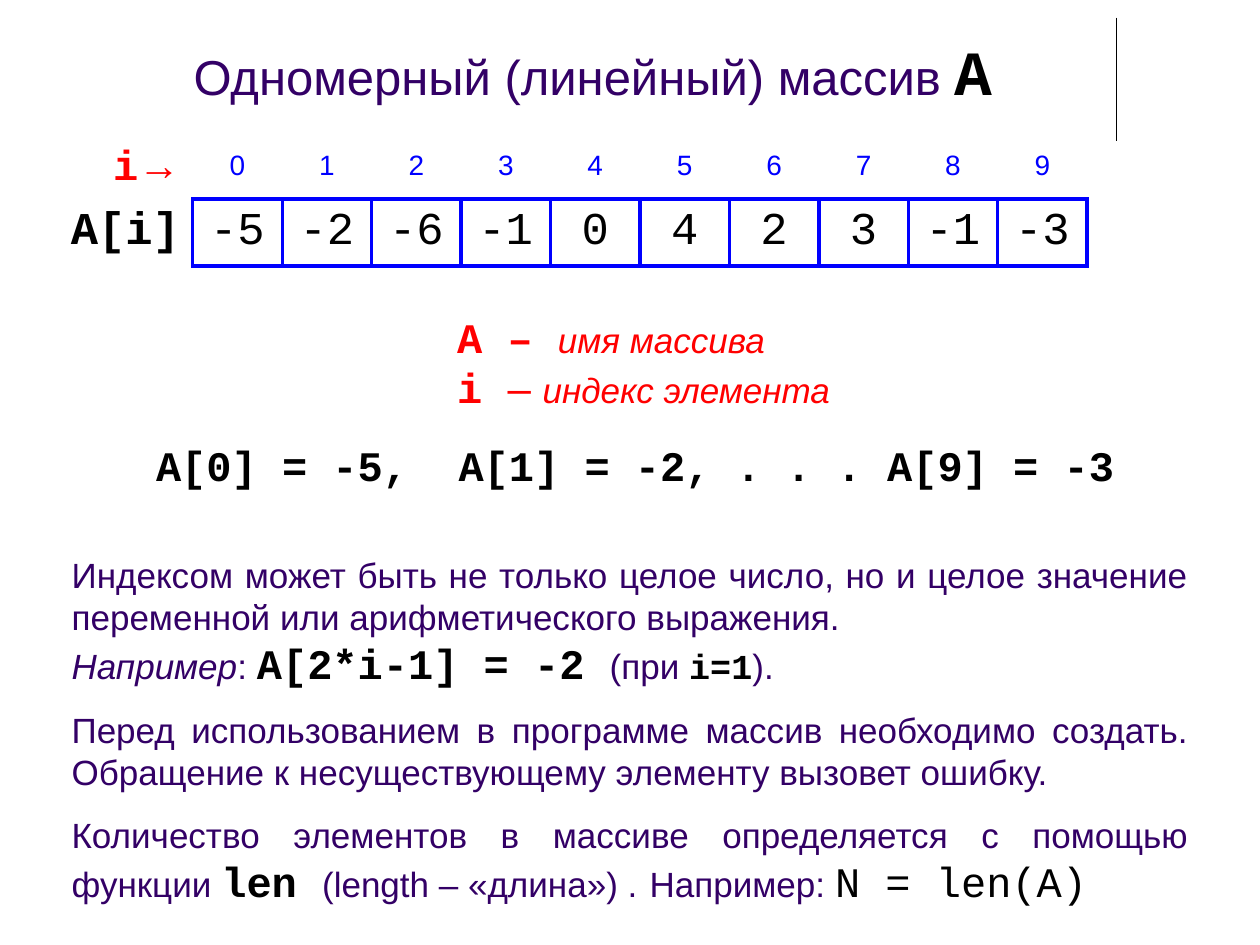
from lxml.etree import SubElement
from pptx import Presentation
from pptx.dml.color import RGBColor
from pptx.enum.shapes import MSO_CONNECTOR
from pptx.enum.text import MSO_ANCHOR, MSO_AUTO_SIZE, PP_ALIGN
from pptx.oxml import parse_xml
from pptx.oxml.ns import nsdecls, qn
from pptx.util import Inches, Pt

BLACK, RED, BLUE, PURPLE, WHITE = "000000", "FF0000", "0000FF", "330066", "FFFFFF"
SANS, MONO = "Arial", "Courier New"


def color(value):
    return RGBColor.from_string(value)


def write(para, spans, align=PP_ALIGN.LEFT, before=None):
    para.alignment = align
    if before:
        spacing = SubElement(para._p.get_or_add_pPr(), qn("a:spcBef"))
        SubElement(spacing, qn("a:spcPct"), val=str(before * 1000))
    for text, size, name, tint, style in spans:
        span = para.add_run()
        span.text = text
        span.font.size = Pt(size)
        span.font.name = name
        span.font.color.rgb = color(tint)
        span.font.bold = "b" in style
        span.font.italic = "i" in style


deck = Presentation()
deck.slide_width = Inches(10)
deck.slide_height = Inches(7.5)
page = deck.slides.add_slide(deck.slide_layouts[6])

rule = page.shapes.add_connector(
    MSO_CONNECTOR.STRAIGHT, Inches(8.86), Inches(0.14), Inches(8.86), Inches(1.12))
rule.line.color.rgb = color(BLACK)
rule.line.width = Pt(0.75)
SubElement(rule._element.spPr, qn("a:effectLst"))

values = ["-5", "-2", "-6", "-1", "0", "4", "2", "3", "-1", "-3"]
frame = page.shapes.add_table(
    2, len(values) + 1, Inches(0.39), Inches(1.05), Inches(8.24), Inches(1.06))
table = frame.table
table.first_row = False
table.horz_banding = False
for number, column in enumerate(table.columns):
    column.width = Inches(0.71 if number else 1.14)
for row in table.rows:
    row.height = Inches(0.53)

labels = [
    [("i", 24, MONO, RED, "b"), ("→", 24, SANS, RED, "b")],
    [("A[i]", 26, MONO, BLACK, "b")],
]
index_row = [[(str(index), 16, SANS, BLUE, "")] for index in range(len(values))]
value_row = [[(value, 26, MONO, BLACK, "")] for value in values]
for r, row in enumerate([labels[:1] + index_row, labels[1:] + value_row]):
    for c, spans in enumerate(row):
        cell = table.cell(r, c)
        cell.vertical_anchor = MSO_ANCHOR.BOTTOM if r == c == 0 else MSO_ANCHOR.MIDDLE
        write(cell.text_frame.paragraphs[0], spans,
              PP_ALIGN.CENTER if c else PP_ALIGN.RIGHT, 20)
        inside = r == 1 and c > 0
        edges = {
            "lnL": inside,
            "lnR": r == 1,
            "lnT": inside,
            "lnB": c > 0,
        }
        properties = cell._tc.get_or_add_tcPr()
        for edge, blue in edges.items():
            properties.append(parse_xml(
                f'<a:{edge} {nsdecls("a")} w="28575"><a:solidFill>'
                f'<a:srgbClr val="{BLUE if blue else WHITE}"/>'
                f'</a:solidFill></a:{edge}>'))
        cell.fill.background()

title = [("Одномерный (линейный) массив ", 28, SANS, PURPLE, ""), ("A", 36, MONO, BLACK, "b")]
examples = [("A[0] = -5,  A[1] = -2, . . . A[9] = -3", 24, MONO, BLACK, "b")]
legend = [
    [("A – ", 24, MONO, RED, "b"), ("имя массива", 20, SANS, RED, "i")],
    [("i ", 24, MONO, RED, "b"), ("– ", 24, SANS, RED, ""),
     ("индекс элемента", 20, SANS, RED, "i")],
]
notes = [
    [("Индексом может быть не только целое число, но и целое значение "
      "переменной или арифметического выражения.", 20, SANS, PURPLE, "")],
    [("Например", 20, SANS, PURPLE, "i"), (": ", 20, SANS, PURPLE, ""),
     ("A[2*i-1] = -2 ", 24, MONO, BLACK, "b"), ("(при ", 20, SANS, PURPLE, ""),
     ("i=1", 20, MONO, BLACK, "b"), (").", 20, SANS, PURPLE, "")],
    [("Перед использованием в программе массив необходимо создать. "
      "Обращение к несуществующему элементу вызовет ошибку.", 20, SANS, PURPLE, "")],
    [("Количество элементов в массиве определяется с помощью функции ",
      20, SANS, PURPLE, ""), ("len ", 24, MONO, BLACK, "b"),
     ("(length – «длина») .", 20, SANS, PURPLE, ""), (" ", 24, SANS, BLACK, "b"),
     ("Например: ", 20, SANS, PURPLE, ""), ("N = len(A)", 24, MONO, BLACK, "")],
]

blocks = [
    (1.22, 0.21, 6.97, 0.7, [title], PP_ALIGN.CENTER, 50, True),
    (1.14, 3.44, 7.96, 0.5, [examples], PP_ALIGN.LEFT, 50, True),
    (3.53, 2.42, 3.16, 0.91, legend, PP_ALIGN.LEFT, None, False),
    (0.47, 4.34, 9.06, 2.93, notes, PP_ALIGN.JUSTIFY, None, True),
]
for left, top, width, height, paragraphs, align, before, wrap in blocks:
    box = page.shapes.add_textbox(Inches(left), Inches(top), Inches(width), Inches(height))
    text = box.text_frame
    text.word_wrap = wrap
    text.auto_size = MSO_AUTO_SIZE.SHAPE_TO_FIT_TEXT
    for number, spans in enumerate(paragraphs):
        para = text.add_paragraph() if number else text.paragraphs[0]
        write(para, spans, align, before)
        if number >= 2:
            para.space_before = Pt(12)

deck.save("out.pptx")
